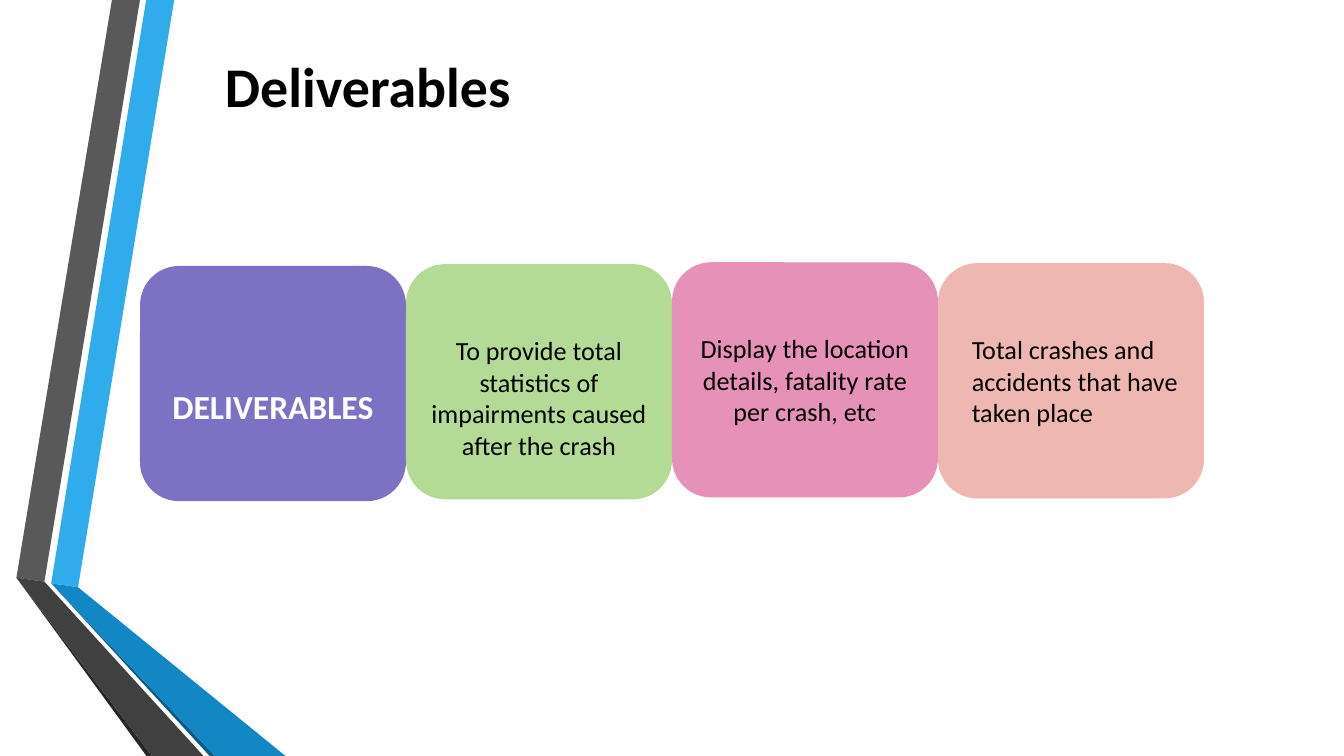
from pptx import Presentation
from pptx.dml.color import RGBColor
from pptx.enum import shapes, text
from pptx.util import Pt

FONT = "Calibri"
BLACK = RGBColor(0x00, 0x00, 0x00)
WHITE = RGBColor(0xFF, 0xFF, 0xFF)
BLUE = RGBColor(0x30, 0xAC, 0xEC)
BLUE_DARK = RGBColor(0x12, 0x87, 0xC3)
BLUE_EDGE = RGBColor(0x0C, 0x5A, 0x82)
GREY = RGBColor(0x59, 0x59, 0x59)
GREY_DARK = RGBColor(0x40, 0x40, 0x40)
GREY_EDGE = RGBColor(0x26, 0x26, 0x26)
PURPLE = RGBColor(0x7C, 0x71, 0xC3)
GREEN = RGBColor(0xB3, 0xDB, 0x95)
PINK = RGBColor(0xE6, 0x91, 0xB7)
SALMON = RGBColor(0xEF, 0xB7, 0xB1)

SLIDE_WIDTH, SLIDE_HEIGHT = 720, 405
CARD_LEFT, CARD_WIDTH, CARD_HEIGHT = 75, 142.5, 126

# Corners of the folded ribbon, in points
BLUE_FOLD, BLUE_INNER = (27.4, 312.5), (41.8, 314.6)
GREY_FOLD, GREY_INNER = (8.8, 309.5), (23.8, 311.6)
RIBBON = [
    (BLUE, [BLUE_FOLD, BLUE_INNER, (93.3, 0), (78.3, 0)]),
    (GREY, [GREY_FOLD, GREY_INNER, (75, 0), (60, 0)]),
    (GREY_EDGE, [GREY_FOLD, (78.5, SLIDE_HEIGHT), (81.4, SLIDE_HEIGHT)]),
    (BLUE_EDGE, [BLUE_FOLD, (112.3, SLIDE_HEIGHT), (115.2, SLIDE_HEIGHT)]),
    (BLUE_DARK, [BLUE_FOLD, (115.2, SLIDE_HEIGHT),
                 (152.9, SLIDE_HEIGHT), BLUE_INNER]),
    (GREY_DARK, [GREY_FOLD, (81.4, SLIDE_HEIGHT),
                 (109, SLIDE_HEIGHT), GREY_INNER]),
]

# Fill, top, words, text format
CARDS = [
    (PURPLE, 142.5, "DELIVERABLES",
     dict(size=18, color=WHITE, bold=True, inset_top=28)),
    (GREEN, 141.5, "To provide total statistics of impairments caused "
     "after the crash", dict(inset_top=21)),
    (PINK, 140.5, "Display the location details, fatality rate per crash, etc",
     {}),
    (SALMON, 141, "Total crashes and accidents that have taken place",
     dict(align=text.PP_ALIGN.LEFT, inset_left=12)),
]


def write_text(shape, words, *, size=14, color=BLACK, bold=False,
               align=text.PP_ALIGN.CENTER, inset_left=6, inset_top=4):
    frame = shape.text_frame
    frame.word_wrap = True
    frame.auto_size = text.MSO_AUTO_SIZE.NONE
    frame.vertical_anchor = text.MSO_ANCHOR.MIDDLE
    frame.margin_left, frame.margin_right = Pt(inset_left), Pt(6)
    frame.margin_top, frame.margin_bottom = Pt(inset_top), Pt(4)
    frame.text = words
    paragraph = frame.paragraphs[0]
    paragraph.alignment = align
    font = paragraph.runs[0].font
    font.name, font.size, font.bold = FONT, Pt(size), bold
    font.color.rgb = color


def paint(shape, color):
    shape.shadow.inherit = False
    shape.fill.solid()
    shape.fill.fore_color.rgb = color
    shape.line.fill.background()


def add_ribbon_piece(slide, color, corners):
    start, *others = [(Pt(x), Pt(y)) for x, y in corners]
    builder = slide.shapes.build_freeform(*start)
    builder.add_line_segments(others, close=True)
    paint(builder.convert_to_shape(), color)


def add_card(slide, column, color, top, words, text_format):
    card = slide.shapes.add_shape(
        shapes.MSO_SHAPE.ROUNDED_RECTANGLE,
        Pt(CARD_LEFT + column * CARD_WIDTH), Pt(top),
        Pt(CARD_WIDTH), Pt(CARD_HEIGHT))
    paint(card, color)
    write_text(card, words, **text_format)


def set_title(slide, words):
    title = slide.shapes.title
    title.left, title.top = Pt(24.5), Pt(20)
    title.width, title.height = Pt(671), Pt(51)
    write_text(title, words, size=30, bold=True,
               align=text.PP_ALIGN.LEFT, inset_left=96)


def main():
    presentation = Presentation()
    presentation.slide_width = Pt(SLIDE_WIDTH)
    presentation.slide_height = Pt(SLIDE_HEIGHT)
    slide = presentation.slides.add_slide(presentation.slide_layouts[5])
    for color, corners in RIBBON:
        add_ribbon_piece(slide, color, corners)
    set_title(slide, "Deliverables")
    for column, card in enumerate(CARDS):
        add_card(slide, column, *card)
    presentation.save("out.pptx")


if __name__ == "__main__":
    main()
